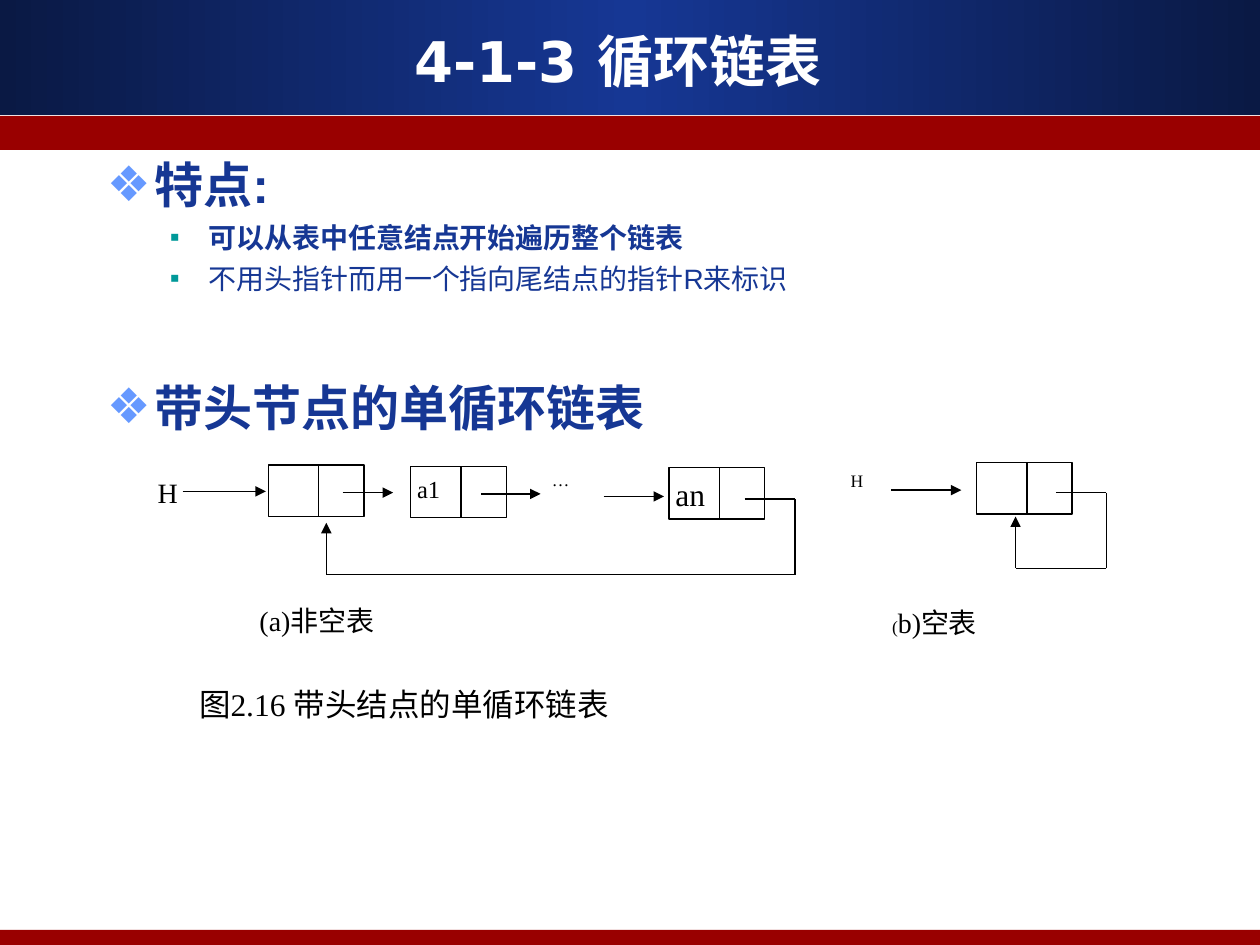
from copy import deepcopy

from lxml import etree
from pptx import Presentation
from pptx.dml.color import RGBColor
from pptx.enum.shapes import MSO_CONNECTOR, MSO_SHAPE
from pptx.enum.text import MSO_ANCHOR, PP_ALIGN
from pptx.oxml.ns import qn
from pptx.util import Inches, Pt

RECTANGLE = MSO_SHAPE.RECTANGLE
STRAIGHT = MSO_CONNECTOR.STRAIGHT
MIDDLE, TOP = MSO_ANCHOR.MIDDLE, MSO_ANCHOR.TOP
LEFT, CENTER = PP_ALIGN.LEFT, PP_ALIGN.CENTER

NAVY, BLUE, RED = "0A1944", "163794", "990000"
WHITE, BLACK = "FFFFFF", "000000"
SERIF = "Times New Roman"
NODE_WIDTH, NODE_HEIGHT, DIVIDER = 0.76, 0.41, 0.4


def color(value):
    return RGBColor.from_string(value)


def add_text(paragraph, text, size, font=SERIF, fill=BLACK, bold=False, align=LEFT):
    paragraph.alignment = align
    run = paragraph.add_run()
    run.text = text
    run.font.size = Pt(size)
    run.font.name = font
    run.font.bold = bold
    run.font.color.rgb = color(fill)


def add_rectangle(slide, left, top, width, height, fill, line=None):
    shape = slide.shapes.add_shape(
        RECTANGLE, Inches(left), Inches(top), Inches(width), Inches(height))
    shape.shadow.inherit = False
    shape.fill.solid()
    shape.fill.fore_color.rgb = color(fill)
    if line:
        shape.line.color.rgb = color(line)
        shape.line.width = Pt(0.75)
    else:
        shape.line.fill.background()
    return shape


def add_label(slide, left, top, width, height, *runs):
    frame = add_rectangle(slide, left, top, width, height, WHITE).text_frame
    frame.margin_left = frame.margin_top = frame.margin_right = frame.margin_bottom = 0
    frame.vertical_anchor = TOP
    frame.word_wrap = True
    for text, size in runs:
        add_text(frame.paragraphs[0], text, size)


def add_line(slide, start, end, arrow=False):
    connector = slide.shapes.add_connector(
        STRAIGHT, *(Inches(value) for value in (*start, *end)))
    connector.line.color.rgb = color(BLACK)
    connector.line.width = Pt(0.75)
    properties = connector.element.spPr
    if arrow:
        etree.SubElement(properties.find(qn("a:ln")), qn("a:tailEnd"), type="triangle")
    etree.SubElement(properties, qn("a:effectLst"))


def add_path(slide, points):
    segments = list(zip(points, points[1:]))
    for index, (start, end) in enumerate(segments, 1):
        add_line(slide, start, end, arrow=index == len(segments))


def add_node(slide, left, top, *label):
    add_rectangle(slide, left, top, NODE_WIDTH, NODE_HEIGHT, WHITE, BLACK)
    if label:
        add_label(slide, left + 0.05, top + 0.06, 0.29, 0.3, label)
    add_line(slide, (left + DIVIDER, top), (left + DIVIDER, top + NODE_HEIGHT))


def add_return_path(slide, left, top, back_to):
    right, bottom = left + 0.4, top + 0.6
    add_path(slide, [(left, top), (right, top), (right, bottom),
                     (back_to, bottom), (back_to, bottom - 0.41)])


def draw_background(slide, width, height):
    banner = add_rectangle(slide, 0, 0, width, 0.91, NAVY)
    banner.fill.gradient()
    banner.fill.gradient_angle = 0
    stop_list = banner.element.spPr.find(".//" + qn("a:gsLst"))
    stop_list.insert(1, deepcopy(stop_list[0]))
    for stop, position, shade in zip(
            banner.fill.gradient_stops, (0, 0.5, 1), (NAVY, BLUE, NAVY)):
        stop.position = position
        stop.color.rgb = color(shade)
    add_rectangle(slide, 0, 0.92, width, 0.27, RED)
    add_rectangle(slide, 0, height - 0.12, width, 0.12, RED)


def draw_title(slide, left, top, width, height):
    title = slide.shapes.title
    title.left, title.top = Inches(left), Inches(top)
    title.width, title.height = Inches(width), Inches(height)
    title.text_frame.vertical_anchor = MIDDLE
    add_text(title.text_frame.paragraphs[0], "4-1-3 循环链表 ", 32,
             font="DejaVu Sans", fill=WHITE, bold=True, align=CENTER)
    title.element.getparent().append(title.element)


def add_bullet(paragraph, character, shade, margin, hanging):
    properties = paragraph._p.get_or_add_pPr()
    properties.set("marL", str(Inches(margin)))
    properties.set("indent", str(-Inches(hanging)))
    bullet_color = etree.SubElement(properties, qn("a:buClr"))
    etree.SubElement(bullet_color, qn("a:srgbClr"), val=shade)
    etree.SubElement(properties, qn("a:buFont"), typeface="Arial")
    etree.SubElement(properties, qn("a:buChar"), char=character)


def draw_body(slide, left, top, width, height):
    frame = slide.shapes.add_textbox(
        Inches(left), Inches(top), Inches(width), Inches(height)).text_frame
    frame.word_wrap = True
    heading = (28, "❖", "6699FF", 0.38, 0.38)
    detail = (16, "▪", "009999", 0.81, 0.31)
    items = [
        ("特点:", heading, True, 7),
        ("可以从表中任意结点开始遍历整个链表", detail, True, 4),
        ("不用头指针而用一个指向尾结点的指针R来标识", detail, False, 4),
        ("带头节点的单循环链表", heading, True, 47),
    ]
    for index, (text, (size, *bullet), bold, before) in enumerate(items):
        paragraph = frame.add_paragraph() if index else frame.paragraphs[0]
        paragraph.space_before = Pt(before)
        add_text(paragraph, text, size, font="Arial", fill=BLUE, bold=bold)
        add_bullet(paragraph, *bullet)


def draw_filled_list(slide, left, top):
    add_label(slide, left, top + 0.08, 0.41, 0.31, ("H", 16))
    add_line(slide, (left + 0.2, top + 0.21), (left + 0.86, top + 0.21), arrow=True)
    add_node(slide, left + 0.88, top)
    add_line(slide, (left + 1.47, top + 0.22), (left + 1.87, top + 0.22), arrow=True)
    add_node(slide, left + 2.01, top + 0.01, "a1", 14)
    add_line(slide, (left + 2.57, top + 0.23), (left + 3.04, top + 0.23), arrow=True)
    add_label(slide, left + 3.13, top + 0.03, 0.4, 0.4, ("…", 10))
    add_line(slide, (left + 3.54, top + 0.25), (left + 4.02, top + 0.25), arrow=True)
    add_node(slide, left + 4.06, top + 0.02, "an", 18)
    add_return_path(slide, left + 4.66, top + 0.27, left + 1.34)
    add_label(slide, left + 0.81, top + 1.1, 1.6, 0.49, ("(a)非空表", 16))


def draw_empty_list(slide, left, top):
    add_line(slide, (left + 0.22, top + 0.22), (left + 0.88, top + 0.22), arrow=True)
    add_label(slide, left, top + 0.06, 0.32, 0.3, ("H", 10))
    add_node(slide, left + 1, top)
    add_return_path(slide, left + 1.63, top + 0.24, left + 1.31)
    add_label(slide, left + 0.33, top + 1.14, 0.8, 0.4, ("(", 10), ("b)空表", 16))


def main():
    presentation = Presentation()
    presentation.slide_width, presentation.slide_height = Inches(10), Inches(7.5)
    slide = presentation.slides.add_slide(presentation.slide_layouts[5])
    draw_background(slide, 10, 7.5)
    draw_title(slide, 0.33, 0.17, 9.25, 0.62)
    draw_body(slide, 0.75, 1.18, 8.9, 2.4)
    draw_filled_list(slide, 1.25, 3.69)
    draw_empty_list(slide, 6.75, 3.67)
    add_label(slide, 1.58, 5.44, 6.63, 0.6, ("图2.16 带头结点的单循环链表", 18))
    presentation.save("out.pptx")


if __name__ == "__main__":
    main()
